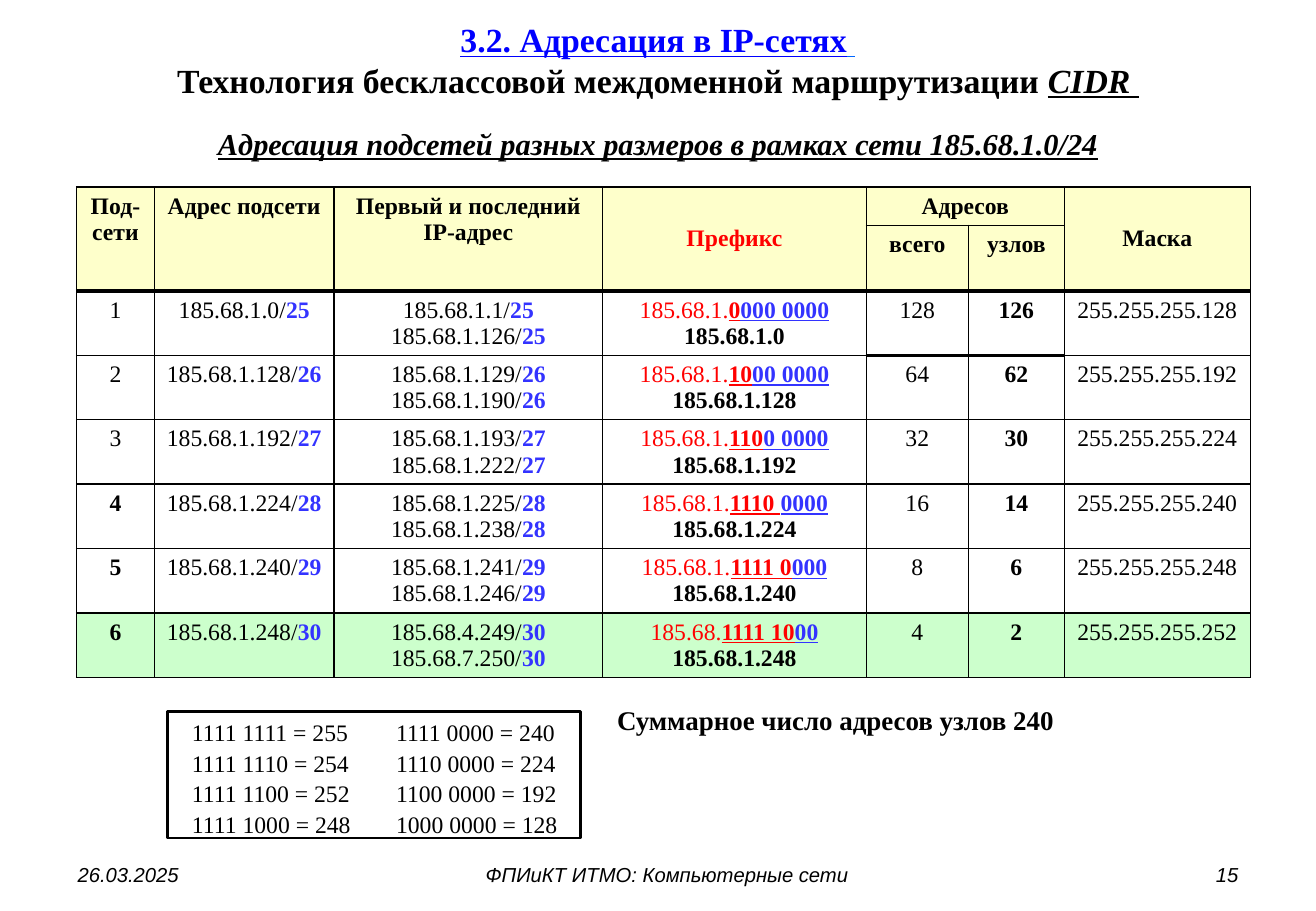
from dataclasses import dataclass

from lxml import etree
from pptx import Presentation
from pptx import util as u
from pptx.dml.color import RGBColor
from pptx.enum import shapes, text
from pptx.oxml import ns

CENTER, LEFT, RIGHT = text.PP_ALIGN.CENTER, text.PP_ALIGN.LEFT, text.PP_ALIGN.RIGHT
TOP, MIDDLE = text.MSO_ANCHOR.TOP, text.MSO_ANCHOR.MIDDLE


@dataclass(frozen=True)
class Theme:
    """Colours, fonts and type sizes of the slide."""
    black: str = "000000"
    red: str = "FF0000"
    host: str = "3333FF"
    link: str = "0000FF"
    link_end: str = "0066FF"
    header: str = "FEFFCB"
    last_row: str = "CCFFCC"
    tint: int = 20
    serif: str = "Times New Roman"
    sans: str = "Arial"
    title: int = 20
    subtitle: int = 18
    note: int = 16
    body: int = 14
    footer: int = 12


T = Theme()
COLS = [0.64, 1.48, 2.21, 2.17, 0.84, 0.79, 1.53]
ROWS = [0.31, 0.54] + [0.53] * 6
SUBNETS = [
    ("185.68.1.0", 25, "185.68.1.1", "185.68.1.126", "185.68.1.", "0", "000 0000", 128, "255.255.255.128"),
    ("185.68.1.128", 26, "185.68.1.129", "185.68.1.190", "185.68.1.", "10", "00 0000", 64, "255.255.255.192"),
    ("185.68.1.192", 27, "185.68.1.193", "185.68.1.222", "185.68.1.", "110", "0 0000", 32, "255.255.255.224"),
    ("185.68.1.224", 28, "185.68.1.225", "185.68.1.238", "185.68.1.", "1110 ", "0000", 16, "255.255.255.240"),
    ("185.68.1.240", 29, "185.68.1.241", "185.68.1.246", "185.68.1.", "1111 0", "000", 8, "255.255.255.248"),
    ("185.68.1.248", 30, "185.68.4.249", "185.68.7.250", "185.68.", "1111 10", "00", 4, "255.255.255.252"),
]
OCTETS = [
    "1111 1111 = 255\t1111 0000 = 240",
    "1111 1110 = 254\t1110 0000 = 224",
    "1111 1100 = 252\t1100 0000 = 192",
    "1111 1000 = 248\t1000 0000 = 128",
]


def run(value, color=T.black, bold=False, italic=False, underline=False):
    """Describe one run of text."""
    return str(value), color, bold, italic, underline


def write(tf, lines, size=T.body, font=T.serif, align=CENTER):
    """Fill a text frame with lines, each a list of runs."""
    tf.word_wrap = True
    for i, runs in enumerate(lines):
        p = tf.add_paragraph() if i else tf.paragraphs[0]
        p.alignment = align
        for value, color, bold, italic, underline in runs:
            r = p.add_run()
            r.text = value
            f = r.font
            f.name, f.size = font, u.Pt(size)
            f.bold, f.italic, f.underline = bold, italic, underline
            f.color.rgb = RGBColor.from_string(color)


def add_text(s, box, lines, size, font=T.serif, align=CENTER, anchor=TOP):
    """Add a text box at box."""
    tf = s.shapes.add_textbox(*map(u.Inches, box)).text_frame
    tf.vertical_anchor = anchor
    write(tf, lines, size, font, align)


def set_borders(cell, bottom, top):
    """Draw black borders round a cell."""
    tc_pr = cell._tc.get_or_add_tcPr()
    for side, width in (("L", 1), ("R", 1), ("T", top), ("B", bottom)):
        ln = etree.SubElement(tc_pr, ns.qn(f"a:ln{side}"), w=str(u.Pt(width)))
        fill = etree.SubElement(ln, ns.qn("a:solidFill"))
        etree.SubElement(fill, ns.qn("a:srgbClr"), val=T.black)


def set_fill(cell, color, opacity=100):
    """Fill a cell with a colour of the given opacity in percent."""
    cell.fill.solid()
    cell.fill.fore_color.rgb = RGBColor.from_string(color)
    if opacity < 100:
        clr = cell._tc.tcPr.find(".//" + ns.qn("a:srgbClr"))
        etree.SubElement(clr, ns.qn("a:alpha"), val=str(opacity * 1000))


def style_cells(table):
    """Set margins, borders and fills of all cells."""
    last = len(ROWS) - 1
    for y in range(len(ROWS)):
        for x in range(len(COLS)):
            cell = table.cell(y, x)
            cell.margin_left = cell.margin_right = u.Inches(0.05)
            counts = x in (4, 5)
            heavy = {1} | ({2} if counts else set())
            set_borders(cell, 2.25 if y in heavy else 1, 2.25 if y - 1 in heavy else 1)
            if y == last:
                set_fill(cell, T.last_row, T.tint)
            elif y < 2:
                set_fill(cell, T.header, T.tint if y and counts else 100)
            else:
                cell.fill.background()


def add_header(table):
    """Merge and label the two header rows."""
    for x in (0, 1, 2, 3, 6):
        table.cell(0, x).merge(table.cell(1, x))
    table.cell(0, 4).merge(table.cell(0, 5))
    labels = [(0, 0, ["Под-сети"]), (0, 1, ["Адрес подсети"]),
              (0, 2, ["Первый и последний", "IP-адрес"]), (0, 3, ["Префикс"]),
              (0, 4, ["Адресов"]), (0, 6, ["Маска"]), (1, 4, ["всего"]), (1, 5, ["узлов"])]
    for y, x, lines in labels:
        cell = table.cell(y, x)
        color = T.red if x == 3 else T.black
        cell.vertical_anchor = MIDDLE if x in (3, 6) else TOP
        write(cell.text_frame, [[run(line, color, True)] for line in lines])


def subnet_cells(number, subnet):
    """Return the lines of each cell in one subnet row."""
    address, length, first, final, octets, net, host, total, mask = subnet
    suffix = run(length, T.host, True)
    bits = [run(octets, T.red), run(net, T.red, True, underline=True),
            run(host, T.host, True, underline=True)]
    return [
        [[run(number, bold=number > 3)]],
        [[run(address + "/"), suffix]],
        [[run(ip + "/"), suffix] for ip in (first, final)],
        [bits, [run(address, bold=True)]],
        [[run(total)]],
        [[run(total - 2, bold=True)]],
        [[run(mask)]],
    ]


def add_subnets(s, box):
    """Add the subnet table at box."""
    table = s.shapes.add_table(len(ROWS), len(COLS), *map(u.Inches, box)).table
    table.first_row = table.horz_banding = False
    for col, width in zip(table.columns, COLS):
        col.width = u.Inches(width)
    for row, height in zip(table.rows, ROWS):
        row.height = u.Inches(height)
    style_cells(table)
    add_header(table)
    for number, subnet in enumerate(SUBNETS, 1):
        for x, lines in enumerate(subnet_cells(number, subnet)):
            write(table.cell(number + 1, x).text_frame, lines)


def add_octets(s, box):
    """Add the framed list of binary octets at box."""
    sp = s.shapes.add_shape(shapes.MSO_SHAPE.RECTANGLE, *map(u.Inches, box))
    sp.shadow.inherit = False
    sp.fill.background()
    sp.line.color.rgb = RGBColor.from_string(T.black)
    sp.line.width = u.Pt(1.5)
    tf = sp.text_frame
    tf.margin_left = u.Inches(0.2)
    tf.vertical_anchor = TOP
    write(tf, [[run(line)] for line in OCTETS], align=LEFT)
    for i, p in enumerate(tf.paragraphs):
        p.space_before = u.Pt(1.4 if i else 0)
        tabs = etree.SubElement(p._p.get_or_add_pPr(), ns.qn("a:tabLst"))
        etree.SubElement(tabs, ns.qn("a:tab"), pos=str(u.Inches(1.68)), algn="l")


def add_heading(s, box):
    """Add the title at box and the subtitle below it."""
    left, top, width, height = box
    add_text(s, box, [
        [run("3.2. Адресация в IP-сетях", T.link, True, underline=True),
         run(" ", T.link_end, True, underline=True)],
        [run("Технология бесклассовой междоменной маршрутизации ", bold=True),
         run("CIDR ", bold=True, italic=True, underline=True)],
    ], T.title, anchor=MIDDLE)
    subtitle = run("Адресация подсетей разных размеров в рамках сети 185.68.1.0/24",
                   bold=True, italic=True, underline=True)
    add_text(s, (left, top + height + 0.1, width, 0.4), [[subtitle]], T.subtitle)


def add_footer(s, box):
    """Add date, course and slide number along box."""
    left, top, width, height = box
    parts = [("26.03.2025", 0, 2.53, LEFT), ("ФПИиКТ ИТМО: Компьютерные сети", 2.81, 4.28, CENTER),
             ("15", width - 2.53, 2.53, RIGHT)]
    for value, dx, w, align in parts:
        add_text(s, (left + dx, top, w, height), [[run(value, italic=True)]], T.footer, T.sans, align)


def main():
    """Build and save the slide."""
    prs = Presentation()
    prs.slide_width, prs.slide_height = u.Inches(10.83), u.Inches(7.5)
    s = prs.slides.add_slide(prs.slide_layouts[6])
    add_subnets(s, (0.63, 1.54, sum(COLS), sum(ROWS)))
    add_octets(s, (1.38, 5.86, 3.4, 1.04))
    add_heading(s, (0.79, 0.1, 9.25, 0.78))
    add_text(s, (4.88, 5.74, 3.99, 0.37),
             [[run("Суммарное число адресов узлов 240", bold=True)]], T.note)
    add_footer(s, (0.54, 7.05, 9.75, 0.3))
    prs.save("out.pptx")


if __name__ == "__main__":
    main()
